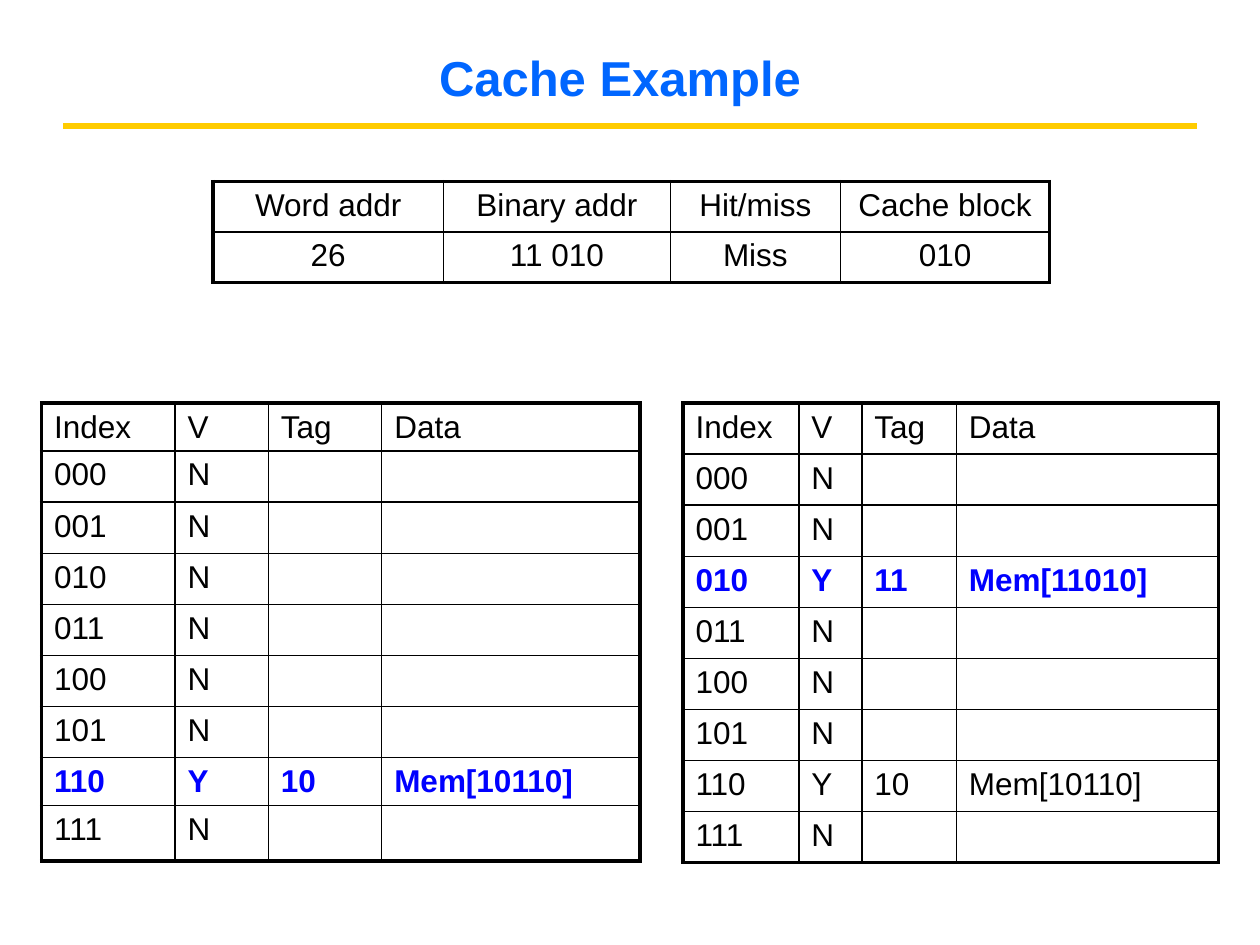
from lxml import etree
from pptx import Presentation
from pptx import util as u
from pptx.dml.color import RGBColor
from pptx.enum import shapes, text
from pptx.oxml import ns

BLACK = RGBColor(0, 0, 0)
HIGHLIGHT = RGBColor(0, 0, 255)
TITLE_BLUE = RGBColor(0, 0x66, 0xFF)
GOLD = RGBColor(0xFF, 0xCC, 0)

FONT = "Arial"
OUTER, HEADER, INNER = 2.25, 1.5, 1


def format_run(span, size, color, bold=False):
    span.font.name = FONT
    span.font.size = u.Pt(size)
    span.font.bold = bold
    span.font.color.rgb = color


def add_title(page, left, top, width, height, words):
    """Title with the gold rule beneath it."""
    title = page.shapes.title
    title.left, title.top = u.Pt(left), u.Pt(top)
    title.width, title.height = u.Pt(width), u.Pt(height)
    frame = title.text_frame
    frame.text = words
    frame.vertical_anchor = text.MSO_ANCHOR.MIDDLE
    para = frame.paragraphs[0]
    para.alignment = text.PP_ALIGN.CENTER
    format_run(para.runs[0], 28, TITLE_BLUE, True)

    rule_y = u.Pt(top + 50.4)
    rule = page.shapes.add_connector(
        shapes.MSO_CONNECTOR.STRAIGHT,
        u.Pt(left + 23.76), rule_y, u.Pt(left + 671.76), rule_y)
    rule.line.color.rgb = GOLD
    rule.line.width = u.Pt(3)
    etree.SubElement(rule.element.spPr, ns.qn("a:effectLst"))


def set_borders(cell, widths):
    """Draw black edges; widths maps L, R, T, B to points."""
    properties = cell._tc.get_or_add_tcPr()
    for side, width in widths.items():
        edge = etree.SubElement(properties, ns.qn(f"a:ln{side}"),
                                w=str(u.Pt(width)))
        fill = etree.SubElement(edge, ns.qn("a:solidFill"))
        etree.SubElement(fill, ns.qn("a:srgbClr"), val=str(BLACK))


def fill_cell(cell, words, align, color, bold):
    cell.margin_left = cell.margin_right = u.Pt(7.2)
    cell.margin_top = cell.margin_bottom = u.Pt(3.6)
    cell.fill.background()
    cell.text_frame.text = words
    para = cell.text_frame.paragraphs[0]
    para.alignment = align
    # Space before is a share of the text size
    before = etree.SubElement(para._p.get_or_add_pPr(), ns.qn("a:spcBef"))
    etree.SubElement(before, ns.qn("a:spcPct"), val="20000")
    for span in para.runs:
        format_run(span, 18, color, bold)


def add_grid(page, left, top, widths, heights, rows,
             align=text.PP_ALIGN.LEFT, marked=None):
    """Table with a thick frame; the row numbered marked is highlighted."""
    shape = page.shapes.add_table(
        len(rows), len(widths), u.Pt(left), u.Pt(top),
        u.Pt(sum(widths)), u.Pt(sum(heights)))
    table = shape.table
    table.first_row = table.horz_banding = False
    for column, width in zip(table.columns, widths):
        column.width = u.Pt(width)
    last_row, last_column = len(rows) - 1, len(widths) - 1
    for r, values in enumerate(rows):
        table.rows[r].height = u.Pt(heights[r])
        color = HIGHLIGHT if r == marked else BLACK
        for c, words in enumerate(values):
            cell = table.cell(r, c)
            set_borders(cell, {
                "L": OUTER if c == 0 else INNER,
                "R": OUTER if c == last_column else INNER,
                "T": OUTER if r == 0 else HEADER if r == 1 else INNER,
                "B": OUTER if r == last_row else HEADER if r == 0 else INNER,
            })
            fill_cell(cell, words, align, color, r == marked)


def add_cache_state(page, left, top, widths, heights, blocks, changed):
    """Eight cache blocks; blocks maps an index to its (tag, data)."""
    rows = [("Index", "V", "Tag", "Data")]
    for index in range(8):
        valid = "Y" if index in blocks else "N"
        rows.append((f"{index:03b}", valid, *blocks.get(index, ("", ""))))
    add_grid(page, left, top, widths, heights, rows, marked=changed + 1)


deck = Presentation()
deck.slide_width, deck.slide_height = u.Pt(720), u.Pt(540)
page = deck.slides.add_slide(deck.slide_layouts[5])

add_title(page, 12.24, 21.6, 684, 44.64, "Cache Example")

# Cache after the access
first_block = {0b110: ("10", "Mem[10110]")}
second_block = {0b010: ("11", "Mem[11010]")}
add_cache_state(page, 390.24, 230.4, [66.24, 36, 54, 149.76], [29.12] * 9,
                {**first_block, **second_block}, 0b010)

# The access
add_grid(page, 121.68, 103.68, [131.76, 129.6, 97.2, 119.52], [28.8] * 2,
         [("Word addr", "Binary addr", "Hit/miss", "Cache block"),
          ("26", "11 010", "Miss", "010")], text.PP_ALIGN.CENTER)

# Cache before the access
add_cache_state(page, 23.76, 230.4, [76.32, 53.28, 64.8, 147.6],
                [26.64] * 8 + [31.68], first_block, 0b110)

deck.save("out.pptx")
